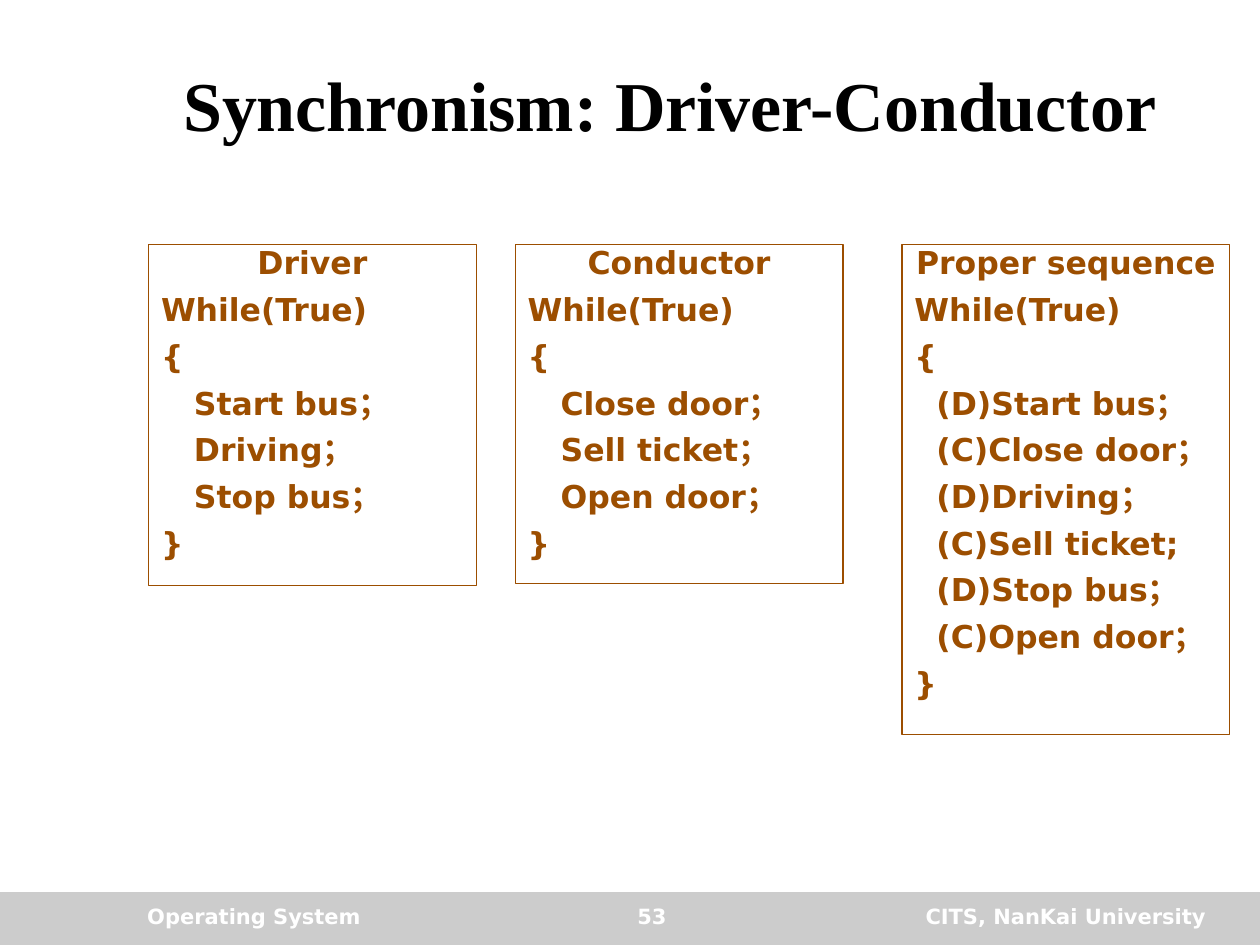
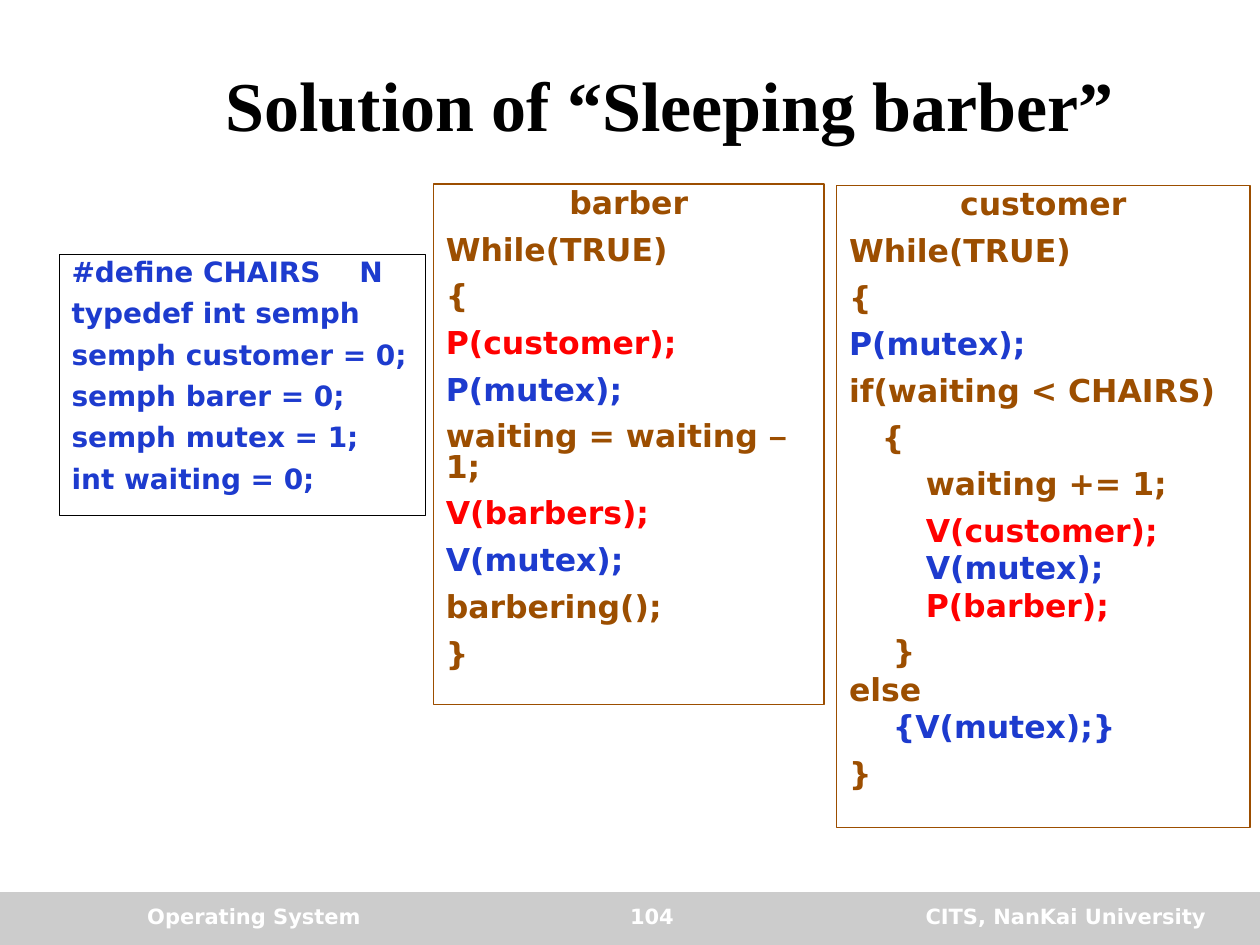
from dataclasses import dataclass

from pptx import Presentation
from pptx.dml.color import RGBColor
from pptx.enum.shapes import MSO_SHAPE
from pptx.enum.text import MSO_ANCHOR, MSO_AUTO_SIZE, PP_ALIGN
from pptx.util import Inches, Pt

RECTANGLE = MSO_SHAPE.RECTANGLE
TOP, MIDDLE = MSO_ANCHOR.TOP, MSO_ANCHOR.MIDDLE
FIXED = MSO_AUTO_SIZE.NONE
LEFT, CENTER, RIGHT = PP_ALIGN.LEFT, PP_ALIGN.CENTER, PP_ALIGN.RIGHT


@dataclass(frozen=True)
class Theme:
    black: RGBColor = RGBColor(0x00, 0x00, 0x00)
    white: RGBColor = RGBColor(0xFF, 0xFF, 0xFF)
    band: RGBColor = RGBColor(0xCC, 0xCC, 0xCC)
    brown: RGBColor = RGBColor(0x9C, 0x4E, 0x00)
    blue: RGBColor = RGBColor(0x1D, 0x3B, 0xCE)
    red: RGBColor = RGBColor(0xFF, 0x00, 0x00)
    title_font: str = "Times New Roman"
    body_font: str = "DejaVu Sans"
    dash_font: str = "Arial"
    title_size: int = 40
    code_size: int = 18
    declaration_size: int = 16
    footer_size: int = 12
    line_spacing: float = 0.8
    # Space before a code line, as a share of its type size
    wide_gap: float = 0.52
    tight_gap: float = 0.22


THEME = Theme()


@dataclass(frozen=True)
class Line:
    text: str
    color: RGBColor = THEME.brown
    gap: float = THEME.wide_gap
    align: PP_ALIGN = LEFT


def apply(target, values):
    for name, value in values.items():
        setattr(target, name, value)


class Deck:
    """Holds the theme and the slide being built."""

    def __init__(self, theme):
        self.theme = theme
        self.prs = Presentation()
        apply(self.prs, {"slide_width": Inches(10), "slide_height": Inches(7.5)})
        self.layout = self.prs.slide_layouts[5]
        self.slide = None

    def new_slide(self, title, number):
        first = self.slide is None
        self.slide = self.prs.slides.add_slide(self.layout)
        if first:
            self.share_band()
        self.title(title)
        self.footer("Operating System", 1.07, 2.75, LEFT)
        self.footer("CITS, NanKai University", 6.5, 3.17, RIGHT)
        self.footer(str(number), 4.01, 2.33, CENTER)

    def share_band(self):
        """Place the footer band on the layout, behind every slide."""
        band = self.box(0, 7.08, 10, 0.42, fill=self.theme.band)
        band.element.nvSpPr.cNvPr.set("id", "20")
        self.layout.shapes.element.append(band.element)

    def box(self, left, top, width, height, fill=None, line=None):
        box = self.slide.shapes.add_shape(
            RECTANGLE, Inches(left), Inches(top), Inches(width), Inches(height))
        box.shadow.inherit = False
        if fill is None:
            box.fill.background()
        else:
            box.fill.solid()
            box.fill.fore_color.rgb = fill
        if line is None:
            box.line.fill.background()
        else:
            box.line.color.rgb = line
            box.line.width = Pt(0.75)
        return box

    def run(self, paragraph, text, size, color, font):
        run = paragraph.add_run()
        run.text = text
        apply(run.font, {"name": font, "size": Pt(size), "bold": True})
        run.font.color.rgb = color

    def title(self, text):
        title = self.slide.shapes.title
        apply(title, {"left": Inches(1.06), "top": Inches(0.33),
                      "width": Inches(8.51), "height": Inches(0.98)})
        apply(title.text_frame, {"vertical_anchor": MIDDLE, "word_wrap": True})
        paragraph = title.text_frame.paragraphs[0]
        paragraph.alignment = CENTER
        self.run(paragraph, text, self.theme.title_size, self.theme.black,
                 self.theme.title_font)

    def footer(self, text, left, width, align):
        frame = self.slide.shapes.add_textbox(
            Inches(left), Inches(7.12), Inches(width), Inches(0.33)).text_frame
        frame.word_wrap = True
        frame.paragraphs[0].alignment = align
        self.run(frame.paragraphs[0], text, self.theme.footer_size,
                 self.theme.white, self.theme.body_font)

    def code(self, place, lines, size=THEME.code_size, fill=None, line=THEME.brown):
        frame = self.box(*place, fill=fill, line=line).text_frame
        apply(frame, {"word_wrap": True, "vertical_anchor": TOP, "auto_size": FIXED})
        for index, entry in enumerate(lines):
            paragraph = frame.add_paragraph() if index else frame.paragraphs[0]
            apply(paragraph, {
                "alignment": entry.align,
                "line_spacing": self.theme.line_spacing,
                "space_before": Pt(round(entry.gap * size, 1) if index else 0)})
            # An en dash is set in its own font
            before, dash, after = entry.text.partition("–")
            for text, font in ((before, self.theme.body_font),
                               (dash, self.theme.dash_font),
                               (after, self.theme.body_font)):
                if text:
                    self.run(paragraph, text, size, entry.color, font)


def heading(text):
    return Line(text, align=CENTER)


def loop(name, steps):
    """A named endless loop around the given steps."""
    return [heading(name), *map(Line, ("While(True)", "{", *steps, "}"))]


def main():
    deck = Deck(THEME)
    red, blue, tight = THEME.red, THEME.blue, THEME.tight_gap

    # Driver and conductor
    deck.new_slide("Synchronism: Driver-Conductor", 53)
    loops = (
        (1.18, 2.71, "Driver", ("   Start bus；", "   Driving；", "   Stop bus；")),
        (4.09, 2.69, "Conductor",
         ("   Close door；", "   Sell ticket；", "   Open door；")),
        (7.16, 3.89, "Proper sequence",
         ("  (D)Start bus；", "  (C)Close door；", "  (D)Driving；",
          "  (C)Sell ticket;", "  (D)Stop bus；", "  (C)Open door；")),
    )
    for left, height, name, steps in loops:
        deck.code((left, 1.94, 2.6, height), loop(name, steps))

    # Sleeping barber
    deck.new_slide("Solution of “Sleeping barber”", 104)
    declarations = ("#define CHAIRS    N", "typedef int semph", "semph customer = 0;",
                    "semph barer = 0;", "semph mutex = 1;", "int waiting = 0;")
    deck.code((0.47, 2.02, 2.91, 2.07), [Line(text, blue) for text in declarations],
              size=THEME.declaration_size, fill=THEME.white, line=THEME.black)

    barber = [
        heading("barber"),
        Line("While(TRUE)"),
        Line("{"),
        Line("P(customer);", red),
        Line("P(mutex);", blue),
        Line("waiting = waiting – 1;"),
        Line("V(barbers);", red),
        Line("V(mutex);", blue),
        Line("barbering();"),
        Line("}"),
    ]
    deck.code((3.44, 1.46, 3.1, 4.13), barber)

    customer = [
        heading("customer"),
        Line("While(TRUE)"),
        Line("{"),
        Line("P(mutex);", blue),
        Line("if(waiting < CHAIRS)"),
        Line("   {"),
        Line("       waiting += 1;"),
        Line("       V(customer);", red),
        Line("       V(mutex);", blue, tight),
        Line("       P(barber);", red, tight),
        Line("    }"),
        Line("else", gap=tight),
        Line("    {V(mutex);}", blue, tight),
        Line("}"),
    ]
    deck.code((6.64, 1.47, 3.28, 5.1), customer)

    deck.prs.save("out.pptx")


if __name__ == "__main__":
    main()
